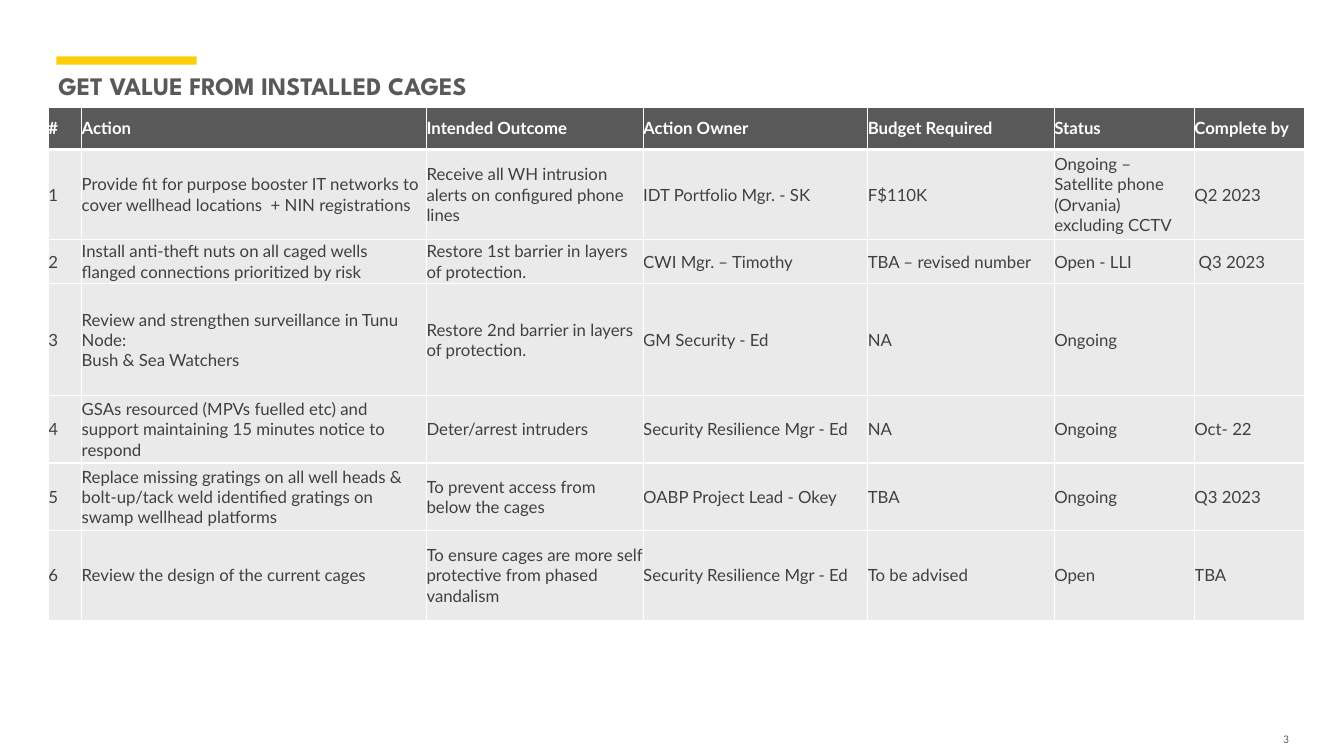
"""Build the slide on getting value from installed cages."""
from dataclasses import dataclass

from lxml import etree
from pptx import Presentation
from pptx.dml.color import RGBColor
from pptx.enum import shapes, text
from pptx.oxml import ns
from pptx.util import Cm, Pt

WHITE = RGBColor(0xFF, 0xFF, 0xFF)
YELLOW = RGBColor(0xFB, 0xCE, 0x07)
GREY = RGBColor(0x59, 0x59, 0x59)
DARK = RGBColor(0x40, 0x40, 0x40)
PALE = RGBColor(0xEA, 0xEA, 0xEA)
HEADING_FONT = "League Spartan"
BODY_FONT = "Lato"


@dataclass
class Column:
    title: str
    width: float


@dataclass
class Action:
    height: float
    action: str
    outcome: str
    owner: str
    budget: str
    status: str
    complete_by: str

    def cells(self, number: int) -> list[str]:
        return [str(number), self.action, self.outcome, self.owner,
                self.budget, self.status, self.complete_by]


COLUMNS = [
    Column("#", 0.84), Column("Action", 8.69), Column("Intended Outcome", 5.46),
    Column("Action Owner", 5.66), Column("Budget Required", 4.7),
    Column("Status", 3.53), Column("Complete by", 2.77),
]
HEADER_HEIGHT = 1.07
ACTIONS = [
    Action(2.26, "Provide fit for purpose booster IT networks to cover wellhead "
           "locations  + NIN registrations",
           "Receive all WH intrusion alerts on configured phone lines",
           "IDT Portfolio Mgr. - SK", "F$110K",
           "Ongoing –\nSatellite phone (Orvania) excluding CCTV", "Q2 2023"),
    Action(1.12, "Install anti-theft nuts on all caged wells flanged connections "
           "prioritized by risk",
           "Restore 1st barrier in layers of protection.",
           "CWI Mgr. – Timothy", "TBA – revised number", "Open - LLI", " Q3 2023"),
    Action(2.82, "Review and strengthen surveillance in Tunu Node:\n"
           "Bush & Sea Watchers",
           "Restore 2nd barrier in layers of protection.",
           "GM Security - Ed", "NA", "Ongoing", ""),
    Action(1.7, "GSAs resourced (MPVs fuelled etc) and support maintaining "
           "15 minutes notice to respond",
           "Deter/arrest intruders",
           "Security Resilience Mgr - Ed", "NA", "Ongoing", "Oct- 22"),
    Action(1.7, "Replace missing gratings on all well heads & bolt-up/tack weld "
           "identified gratings on swamp wellhead platforms",
           "To prevent access from below the cages",
           "OABP Project Lead - Okey", "TBA", "Ongoing", "Q3 2023"),
    Action(2.26, "Review the design of the current cages",
           "To ensure cages are more self protective from phased vandalism",
           "Security Resilience Mgr - Ed", "To be advised", "Open", "TBA"),
]


def style_text(tf, font: str, size: float, color: RGBColor, bold: bool = False) -> None:
    for p in tf.paragraphs:
        for r in p.runs:
            r.font.name = font
            r.font.size = Pt(size)
            r.font.bold = bold
            r.font.color.rgb = color


def add_borders(cell, top: float, bottom: float) -> None:
    tc_pr = cell._tc.get_or_add_tcPr()
    widths = {"a:lnL": 1, "a:lnR": 1, "a:lnT": top, "a:lnB": bottom}
    for index, (tag, width) in enumerate(widths.items()):
        ln = etree.Element(ns.qn(tag), w=str(Pt(width)))
        fill = etree.SubElement(ln, ns.qn("a:solidFill"))
        etree.SubElement(fill, ns.qn("a:srgbClr"), val=str(WHITE))
        tc_pr.insert(index, ln)


def fill_cell(cell, words: str, row: int) -> None:
    header = row == 0
    cell.margin_left = cell.margin_right = cell.margin_top = cell.margin_bottom = 0
    cell.vertical_anchor = text.MSO_ANCHOR.MIDDLE
    cell.fill.solid()
    cell.fill.fore_color.rgb = GREY if header else PALE
    cell.text_frame.text = words
    style_text(cell.text_frame, BODY_FONT, 12, WHITE if header else DARK, header)
    add_borders(cell, top=3 if row == 1 else 1, bottom=3 if header else 1)


def add_action_table(s) -> None:
    rows = [[c.title for c in COLUMNS]]
    rows += [a.cells(i) for i, a in enumerate(ACTIONS, 1)]
    heights = [HEADER_HEIGHT] + [a.height for a in ACTIONS]
    table = s.shapes.add_table(
        len(rows), len(COLUMNS), Cm(1.22), Cm(2.7),
        Cm(sum(c.width for c in COLUMNS)), Cm(sum(heights))).table
    for column, spec_column in zip(table.columns, COLUMNS):
        column.width = Cm(spec_column.width)
    for i, (height, words) in enumerate(zip(heights, rows)):
        table.rows[i].height = Cm(height)
        for j, cell_words in enumerate(words):
            fill_cell(table.cell(i, j), cell_words, i)


def add_accent_bar(s) -> None:
    sp = s.shapes.add_shape(shapes.MSO_SHAPE.RECTANGLE,
                            Cm(1.42), Cm(1.42), Cm(3.54), Cm(0.21))
    sp.shadow.inherit = False
    sp.fill.solid()
    sp.fill.fore_color.rgb = YELLOW
    sp.line.fill.background()


def add_title(s) -> None:
    tf = s.shapes.add_textbox(Cm(1.22), Cm(1.65), Cm(16.94), Cm(1.03)).text_frame
    tf.word_wrap = True
    tf.text = "GET VALUE FROM INSTALLED CAGES"
    style_text(tf, HEADING_FONT, 18, GREY, True)


def add_page_number(s) -> None:
    tf = s.shapes.add_textbox(Cm(32.13), Cm(18.47), Cm(0.36), Cm(0.33)).text_frame
    tf.margin_left = tf.margin_right = tf.margin_top = tf.margin_bottom = 0
    tf.word_wrap = False
    tf.vertical_anchor = text.MSO_ANCHOR.BOTTOM
    tf.text = "3"
    tf.paragraphs[0].alignment = text.PP_ALIGN.RIGHT
    style_text(tf, HEADING_FONT, 8, GREY)


def main() -> None:
    prs = Presentation()
    prs.slide_width, prs.slide_height = Cm(33.87), Cm(19.05)
    s = prs.slides.add_slide(prs.slide_layouts[6])
    add_page_number(s)
    add_accent_bar(s)
    add_action_table(s)
    add_title(s)
    prs.save("out.pptx")


if __name__ == "__main__":
    main()
